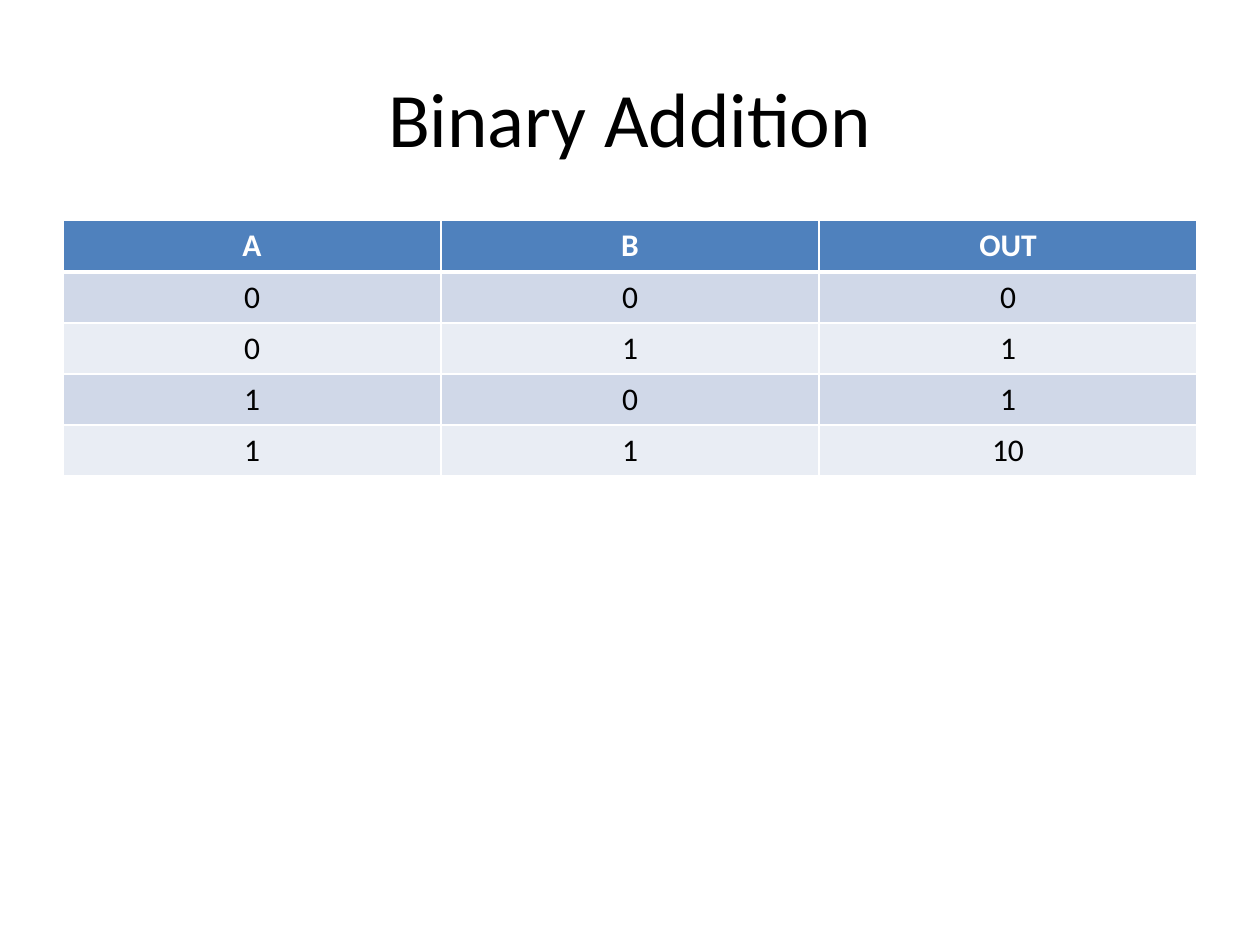
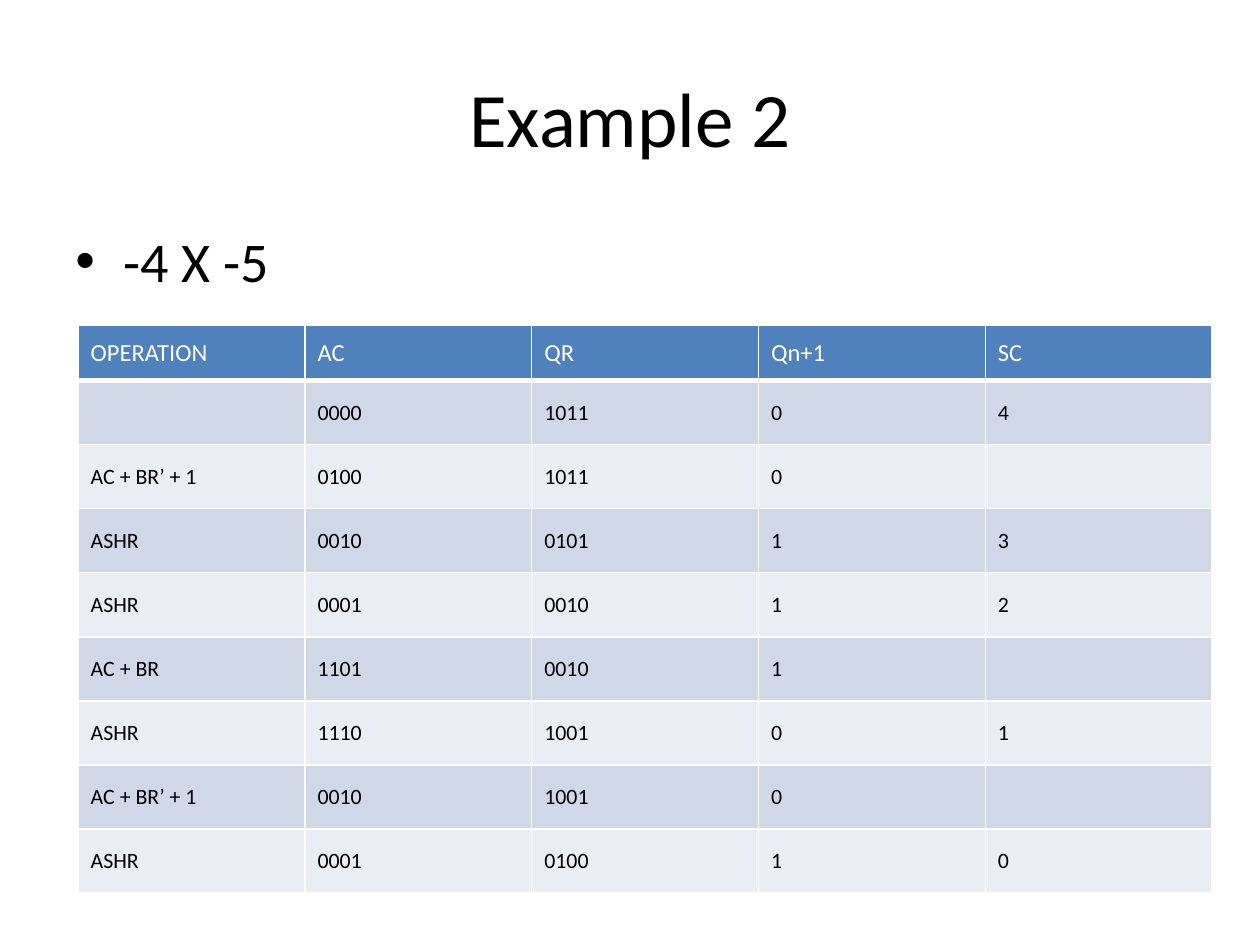
from lxml.etree import SubElement
from pptx import Presentation
from pptx.dml.color import RGBColor
from pptx.enum.text import MSO_ANCHOR as Anchor, PP_ALIGN as Align
from pptx.oxml.ns import qn
from pptx.util import Emu, Pt

EMU_PER_PX = 9144
FONT = "Calibri"
BLACK = RGBColor(0x00, 0x00, 0x00)
WHITE = RGBColor(0xFF, 0xFF, 0xFF)
HEADER_BLUE = RGBColor(0x4F, 0x81, 0xBD)
BANDS = (RGBColor(0xE9, 0xED, 0xF4), RGBColor(0xD0, 0xD8, 0xE8))

TITLE_BOX = (50, 30, 900, 125)
BODY_BOX = (50, 175, 900, 495)

ADDITION = [
    ("A", "B", "OUT"),
    ("0", "0", "0"),
    ("0", "1", "1"),
    ("1", "0", "1"),
    ("1", "1", "10"),
]
MULTIPLICATION = [
    ("OPERATION", "AC", "QR", "Qn+1", "SC"),
    ("", "0000", "1011", "0", "4"),
    ("AC + BR’ + 1", "0100", "1011", "0", ""),
    ("ASHR", "0010", "0101", "1", "3"),
    ("ASHR", "0001", "0010", "1", "2"),
    ("AC + BR", "1101", "0010", "1", ""),
    ("ASHR", "1110", "1001", "0", "1"),
    ("AC + BR’ + 1", "0010", "1001", "0", ""),
    ("ASHR", "0001", "0100", "1", "0"),
]


def px(length):
    """Turn px into EMU."""
    return Emu(round(length * EMU_PER_PX))


def style_runs(paragraph, size, color, bold=False):
    """Give every run of a paragraph the deck's font."""
    for run in paragraph.runs:
        run.font.name = FONT
        run.font.size = Pt(size)
        run.font.bold = bold
        run.font.color.rgb = color


def add_text(slide, box, text, size, anchor):
    """Add a wrapped one-paragraph text box and return its paragraph."""
    frame = slide.shapes.add_textbox(*map(px, box)).text_frame
    frame.word_wrap = True
    frame.vertical_anchor = anchor
    frame.text = text
    paragraph = frame.paragraphs[0]
    style_runs(paragraph, size, BLACK)
    return paragraph


def add_title(slide, text):
    """Add the centred slide title."""
    add_text(slide, TITLE_BOX, text, 44, Anchor.MIDDLE).alignment = Align.CENTER


def add_bullet(slide, text):
    """Add the body's bulleted line."""
    paragraph = add_text(slide, BODY_BOX, text, 32, Anchor.TOP)
    properties = paragraph._p.get_or_add_pPr()
    properties.set("marL", str(px(38)))
    properties.set("indent", str(px(-38)))
    SubElement(properties, qn("a:buFont")).set("typeface", "Arial")
    SubElement(properties, qn("a:buChar")).set("char", "•")


def add_borders(cell, is_header):
    """Draw white cell edges, with a thick rule under the header."""
    widths = {"L": 1, "R": 1, "T": 1, "B": 3} if is_header else {"L": 1, "R": 1, "B": 1}
    for side, width in widths.items():
        edge = SubElement(cell._tc.get_or_add_tcPr(), qn(f"a:ln{side}"), w=str(Pt(width)))
        fill = SubElement(edge, qn("a:solidFill"))
        SubElement(fill, qn("a:srgbClr")).set("val", str(WHITE))


def fill_cell(cell, text, row, size, bold, align, anchor, padding):
    """Write one cell and colour it by its row."""
    is_header = row == 0
    add_borders(cell, is_header)
    cell.fill.solid()
    cell.fill.fore_color.rgb = HEADER_BLUE if is_header else BANDS[row % 2]
    if text:
        cell.text_frame.text = text
        cell.vertical_anchor = anchor
        cell.margin_left = cell.margin_right = px(10)
        cell.margin_top = cell.margin_bottom = px(padding)
        paragraph = cell.text_frame.paragraphs[0]
        paragraph.alignment = align
        style_runs(paragraph, size, WHITE if is_header else BLACK, bold)


def add_grid(slide, box, rows, header_height, header_style, body_style, align, anchor):
    """Add a banded table; each style is a (size, bold, padding) triple."""
    width, height = box[2:]
    table = slide.shapes.add_table(len(rows), len(rows[0]), *map(px, box)).table
    for column in table.columns:
        column.width = px(width / len(rows[0]))
    for row, texts in enumerate(rows):
        body_height = (height - header_height) / (len(rows) - 1)
        table.rows[row].height = px(body_height if row else header_height)
        size, bold, padding = body_style if row else header_style
        for column, text in enumerate(texts):
            fill_cell(table.cell(row, column), text, row, size, bold, align, anchor, padding)


def addition_slide(slide):
    """Show the truth table of binary addition."""
    add_title(slide, "Binary Addition")
    add_grid(slide, (50, 175, 900, 203), ADDITION, 41,
             (18, True, 5), (18, False, 5), Align.CENTER, Anchor.TOP)


def multiplication_slide(slide):
    """Show the register steps of a signed multiplication."""
    add_title(slide, "Example 2")
    add_bullet(slide, "-4 X -5")
    add_grid(slide, (62, 258, 900, 444), MULTIPLICATION, 44,
             (14, False, 10), (12.5, False, 15), Align.LEFT, Anchor.MIDDLE)


def main():
    """Build and save the deck."""
    deck = Presentation()
    deck.slide_width, deck.slide_height = px(1000), px(750)
    for build in (addition_slide, multiplication_slide):
        build(deck.slides.add_slide(deck.slide_layouts[6]))
    deck.save("out.pptx")


if __name__ == "__main__":
    main()
